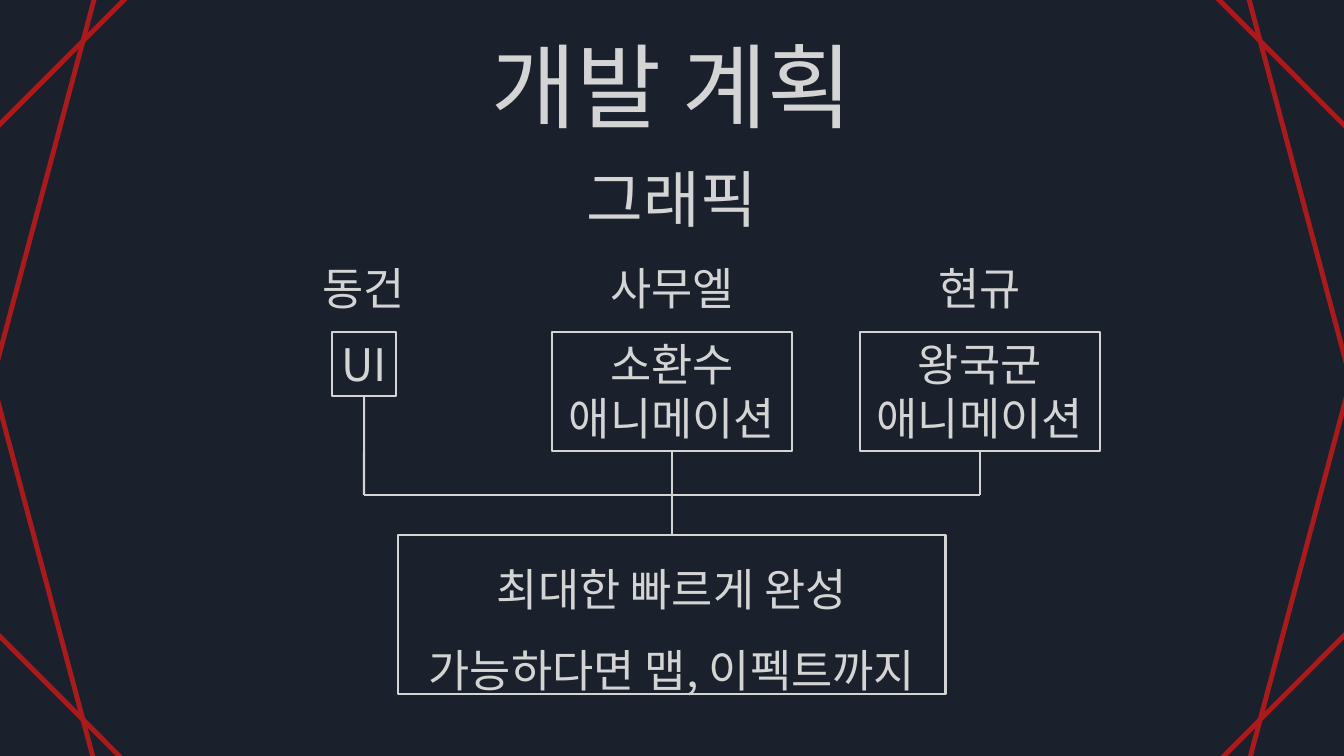
from dataclasses import dataclass

from lxml import etree
from pptx import Presentation
from pptx import util as u
from pptx.dml.color import RGBColor
from pptx.enum import shapes, text
from pptx.oxml.ns import qn


@dataclass(frozen=True)
class Theme:
    font: str = "Noto Sans CJK KR"
    back: RGBColor = RGBColor(0x1A, 0x21, 0x2C)
    ink: RGBColor = RGBColor(0xD4, 0xD4, 0xD4)
    accent: RGBColor = RGBColor(0xA8, 0x1A, 0x1C)
    title: int = 66
    subtitle: int = 44
    body: int = 32
    line: float = 1.5
    frame: float = 3.5


@dataclass(frozen=True)
class Box:
    left: float
    top: float
    width: float
    height: float

    @property
    def center(self):
        return self.left + self.width / 2

    def lengths(self):
        return [u.Cm(value) for value in (self.left, self.top, self.width, self.height)]


THEME = Theme()
PAGE = Box(0, 0, 33.87, 19.05)
MEMBERS = [
    ("동건", 2.74, ["UI"], 1.63, 1.63),
    ("사무엘", 3.86, ["소환수", "애니메이션"], 6.05, 3),
    ("현규", 2.74, ["왕국군", "애니메이션"], 6.05, 3),
]
GOALS = ["최대한 빠르게 완성", "가능하다면 맵, 이펙트까지"]


def apply(target, values):
    for name, value in values.items():
        setattr(target, name, value)


def centered(center, top, width, height):
    return Box(center - width / 2, top, width, height)


def draw_line(line, color, width):
    line.color.rgb = color
    line.width = u.Pt(width)


def write(shape, lines, size, spacing=None, **frame_values):
    frame = shape.text_frame
    apply(frame, {
        "word_wrap": True,
        "auto_size": text.MSO_AUTO_SIZE.NONE,
        "vertical_anchor": text.MSO_ANCHOR.TOP,
        **frame_values,
    })
    for index, line in enumerate(lines):
        para = frame.add_paragraph() if index else frame.paragraphs[0]
        apply(para, {"alignment": text.PP_ALIGN.CENTER, "line_spacing": spacing})
        span = para.add_run()
        span.text = line
        apply(span.font, {"size": u.Pt(size), "name": THEME.font})
        span.font.color.rgb = THEME.ink
        east = etree.SubElement(span.font._element, qn("a:ea"))
        east.set("typeface", THEME.font)


def add_text(page, box, lines, size, outlined=False, **values):
    shape = page.shapes.add_textbox(*box.lengths())
    write(shape, lines, size, **values)
    if outlined:
        draw_line(shape.line, THEME.ink, THEME.line)
    return shape


def add_link(page, start, end):
    link = page.shapes.add_connector(
        shapes.MSO_CONNECTOR.STRAIGHT, *[u.Cm(value) for value in (*start, *end)])
    draw_line(link.line, THEME.ink, THEME.line)
    etree.SubElement(link._element.spPr, qn("a:effectLst"))
    return link


def add_frame(page, box):
    for angle in (0, 30, 330):
        diamond = page.shapes.add_shape(shapes.MSO_SHAPE.DIAMOND, *box.lengths())
        diamond.rotation = angle
        diamond.shadow.inherit = False
        diamond.fill.background()
        draw_line(diamond.line, THEME.accent, THEME.frame)


def add_heading(page, box):
    title = page.shapes.title
    place = centered(box.center, box.top, 10.46, 3.07)
    apply(title, dict(zip(("left", "top", "width", "height"), place.lengths())))
    write(title, ["개발 계획"], THEME.title)
    add_text(page, centered(box.center, box.top + 3.33, 5.08, 2.13), ["그래픽"], THEME.subtitle)


def add_plan(page, box):
    pitch = 7.76
    rail = box.top + 6.02
    side = u.Cm(0.1)
    goal = add_text(page, centered(box.center, box.top + 7.04, box.width, 3.99), GOALS,
                    THEME.body, outlined=True, spacing=1.5, margin_top=0)
    centers = [box.center + pitch * step for step in (-1, 0, 1)]
    for center, (name, name_width, tasks, width, height) in zip(centers, MEMBERS):
        add_text(page, centered(center, box.top, name_width, 1.63), [name], THEME.body)
        task_box = centered(center, box.top + 1.91, width, height)
        task = add_text(page, task_box, tasks, THEME.body, outlined=True,
                        margin_left=side, margin_right=side)
        link = add_link(page, (center, task_box.top + height), (center, rail))
        link.begin_connect(task, 2)
        if center == box.center:
            link.end_connect(goal, 0)
    add_link(page, (centers[0], rail), (centers[-1], rail))


def main():
    deck = Presentation()
    apply(deck, {"slide_width": u.Cm(PAGE.width), "slide_height": u.Cm(PAGE.height)})
    page = deck.slides.add_slide(deck.slide_layouts[5])
    page.background.fill.solid()
    page.background.fill.fore_color.rgb = THEME.back
    add_frame(page, centered(PAGE.center - 0.01, -13.82, 46.74, 46.81))
    add_heading(page, Box(0, 0.61, PAGE.width, 5.46))
    add_plan(page, centered(PAGE.center, 6.45, 13.79, 11.03))
    deck.save("out.pptx")


if __name__ == "__main__":
    main()
